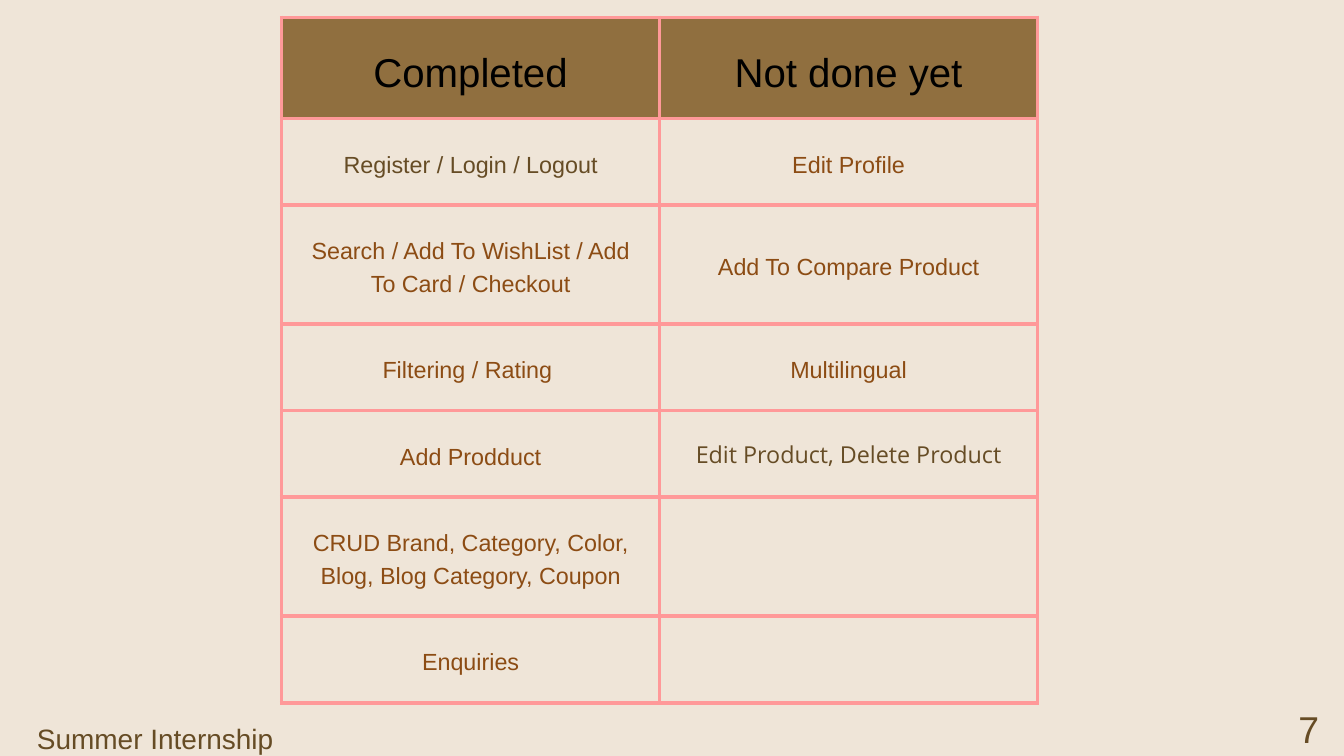
"""Build the slide that lists completed and open tasks."""
from typing import NamedTuple

from lxml import etree
from pptx import Presentation
from pptx.dml.color import RGBColor
from pptx.enum.text import MSO_ANCHOR, PP_ALIGN
from pptx.oxml.ns import qn
from pptx.util import Inches, Pt

MIDDLE = MSO_ANCHOR.MIDDLE
LEFT, CENTER = PP_ALIGN.LEFT, PP_ALIGN.CENTER
COLS, ROWS = 20, 11.25
SAND, GOLD, PINK = "EFE5D8", "906F3F", "FF9999"
BLACK, BROWN, RUST = "000000", "664C25", "8C4C14"
SHORT, TALL = 1.29, 1.77


class Style(NamedTuple):
    size: float
    color: str
    lead: float
    font: str = "Arial"
    align: PP_ALIGN = CENTER


class Label(NamedTuple):
    text: str
    col: float
    row: float
    wide: float
    high: float
    style: Style


class Task(NamedTuple):
    high: float
    done: str
    left: str = ""
    done_style: Style = Style(25, RUST, 35.1)
    left_style: Style = Style(25, RUST, 35)


HEAD = Style(43.1, BLACK, 60.4)
DARK = Style(25, BROWN, 35.1)
TASKS = [
    Task(1.5, "Completed", "Not done yet", HEAD, HEAD),
    Task(SHORT, "Register / Login / Logout", "Edit Profile", DARK),
    Task(TALL, "Search / Add To WishList / Add To Card / Checkout",
         "Add To Compare Product"),
    Task(SHORT, "Filtering / Rating ", "Multilingual"),
    Task(SHORT, "Add Prodduct", "Edit Product, Delete Product",
         left_style=DARK._replace(font="Open Sans")),
    Task(TALL, "CRUD Brand, Category, Color, Blog, Blog Category, Coupon"),
    Task(SHORT, "Enquiries"),
]
LABELS = [
    Label("Summer Internship", 0.55, 10.65, 4.23, 0.6,
          Style(30, BROWN, 42, align=LEFT)),
    Label("7", 19.31, 10.39, 0.33, 0.76, Style(40, BROWN, 56)),
]


def paint(fill, color: str) -> None:
    """Fill with one solid colour."""
    fill.solid()
    fill.fore_color.rgb = RGBColor.from_string(color)


def write(frame, text: str, style: Style) -> None:
    """Write one styled paragraph."""
    frame.word_wrap = True
    para = frame.paragraphs[0]
    para.text = text
    para.alignment = style.align
    para.line_spacing = Pt(style.lead)
    para.font.size = Pt(style.size)
    para.font.name = style.font
    para.font.color.rgb = RGBColor.from_string(style.color)


def edge(cell, color: str, width: float) -> None:
    """Draw all four borders of a cell."""
    props = cell._tc.get_or_add_tcPr()
    for side in ("lnL", "lnR", "lnT", "lnB"):
        line = etree.SubElement(props, qn(f"a:{side}"), w=str(Pt(width)))
        fill = etree.SubElement(line, qn("a:solidFill"))
        etree.SubElement(fill, qn("a:srgbClr"), val=color)


def draw_cell(cell, text: str, style: Style) -> None:
    """Draw one table cell."""
    edge(cell, PINK, 4.22)
    cell.vertical_anchor = MIDDLE
    cell.margin_left = cell.margin_right = Inches(0.29)
    cell.margin_top = cell.margin_bottom = Inches(0.29)
    if style is HEAD:
        paint(cell.fill, GOLD)
    else:
        cell.fill.background()
    write(cell.text_frame, text, style)


def draw_table(slide, tasks: list[Task]) -> None:
    """Draw the two columns of tasks."""
    high = sum(task.high for task in tasks)
    table = slide.shapes.add_table(
        len(tasks), 2, Inches(4.19), Inches(0.26),
        Inches(11.25), Inches(high)).table
    table.first_row = table.horz_banding = False
    for row, task in enumerate(tasks):
        table.rows[row].height = Inches(task.high)
        draw_cell(table.cell(row, 0), task.done, task.done_style)
        draw_cell(table.cell(row, 1), task.left, task.left_style)


def draw_label(slide, label: Label) -> None:
    """Draw one text box without margins."""
    box = slide.shapes.add_textbox(
        Inches(label.col), Inches(label.row),
        Inches(label.wide), Inches(label.high))
    frame = box.text_frame
    frame.margin_left = frame.margin_right = 0
    frame.margin_top = frame.margin_bottom = 0
    write(frame, label.text, label.style)


def main() -> None:
    """Build and save the slide."""
    deck = Presentation()
    deck.slide_width, deck.slide_height = Inches(COLS), Inches(ROWS)
    slide = deck.slides.add_slide(deck.slide_layouts[6])
    paint(slide.background.fill, SAND)
    draw_table(slide, TASKS)
    for label in LABELS:
        draw_label(slide, label)
    deck.save("out.pptx")


if __name__ == "__main__":
    main()
